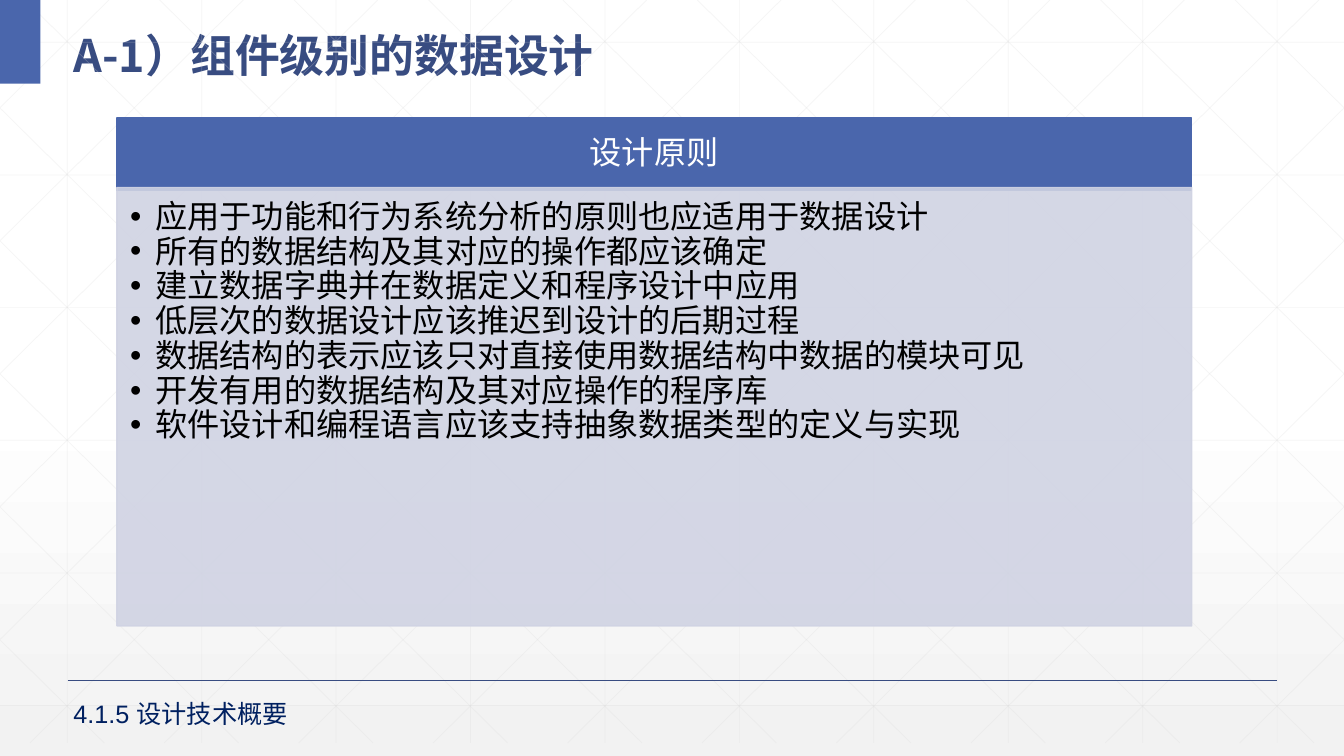
from dataclasses import dataclass

from lxml import etree
from pptx import Presentation
from pptx.dml.color import RGBColor
from pptx.enum.shapes import MSO_CONNECTOR, MSO_SHAPE
from pptx.enum.text import MSO_ANCHOR, MSO_AUTO_SIZE, PP_ALIGN
from pptx.oxml.ns import qn
from pptx.util import Inches, Pt

STRAIGHT = MSO_CONNECTOR.STRAIGHT
RECTANGLE = MSO_SHAPE.RECTANGLE
TOP, MIDDLE = MSO_ANCHOR.TOP, MSO_ANCHOR.MIDDLE
LEFT, CENTER = PP_ALIGN.LEFT, PP_ALIGN.CENTER
NO_AUTOFIT = MSO_AUTO_SIZE.NONE

WHITE = RGBColor(0xFF, 0xFF, 0xFF)
BLACK = RGBColor(0, 0, 0)
PALE_GRAY = RGBColor(0xF2, 0xF2, 0xF2)
GRID_GRAY = RGBColor(0xD9, 0xD9, 0xD9)
BLUE = RGBColor(0x4A, 0x66, 0xAC)
DARK_BLUE = RGBColor(0x38, 0x4C, 0x81)
NAVY = RGBColor(0x00, 0x20, 0x60)
LAVENDER = RGBColor(0xD0, 0xD3, 0xE3)

CJK_FONT = "Noto Sans CJK SC"
PAGE_WIDTH, PAGE_HEIGHT = 13.33, 7.5
GRID_BOTTOM = 7.37
GRID_STEP = 4 / 3
DIAGONAL_RUN = 7.45

PRINCIPLES = [
    "应用于功能和行为系统分析的原则也应适用于数据设计",
    "所有的数据结构及其对应的操作都应该确定",
    "建立数据字典并在数据定义和程序设计中应用",
    "低层次的数据设计应该推迟到设计的后期过程",
    "数据结构的表示应该只对直接使用数据结构中数据的模块可见",
    "开发有用的数据结构及其对应操作的程序库",
    "软件设计和编程语言应该支持抽象数据类型的定义与实现",
]


@dataclass(frozen=True)
class Box:
    left: float
    top: float
    width: float
    height: float

    def lengths(self) -> list:
        return [Inches(v) for v in (self.left, self.top, self.width, self.height)]


@dataclass(frozen=True)
class TextStyle:
    size: float
    color: RGBColor
    font: str = "Arial"
    bold: bool = False


@dataclass(frozen=True)
class Line:
    start_x: float
    start_y: float
    end_x: float
    end_y: float


TITLE_BOX = Box(0.63, 0.1, 12.42, 0.73)
HEADER_BOX = Box(1.16, 1.17, 10.66, 0.72)
LIST_BOX = Box(1.16, 1.86, 10.66, 4.35)
FOOTER_BOX = Box(0.63, 6.88, 3.53, 0.4)
ACCENT_BOX = Box(0, 0, 0.4, 0.83)
FOOTER_RULE = Line(0.67, 6.75, 12.67, 6.75)


def set_opacity(fill, percent: int) -> None:
    color = fill._xPr.find(qn("a:solidFill"))[0]
    etree.SubElement(color, qn("a:alpha")).set("val", str(percent * 1000))


def add_line(page, line: Line, color: RGBColor, width: float, opacity: int = 100) -> None:
    connector = page.shapes.add_connector(
        STRAIGHT, Inches(line.start_x), Inches(line.start_y),
        Inches(line.end_x), Inches(line.end_y))
    connector.line.color.rgb = color
    connector.line.width = Pt(width)
    set_opacity(connector.line.fill, opacity)
    etree.SubElement(connector._element.spPr, qn("a:effectLst"))


def add_rectangle(page, box: Box, color: RGBColor):
    shape = page.shapes.add_shape(RECTANGLE, *box.lengths())
    shape.shadow.inherit = False
    shape.fill.solid()
    shape.fill.fore_color.rgb = color
    shape.line.fill.background()
    return shape


def place(shape, box: Box) -> None:
    shape.left, shape.top, shape.width, shape.height = box.lengths()


def format_frame(frame, anchor, margins=(0.1, 0.05, 0.1, 0.05)) -> None:
    """Set anchor and margins, given as left, top, right, bottom."""
    frame.word_wrap = True
    frame.auto_size = NO_AUTOFIT
    frame.vertical_anchor = anchor
    (frame.margin_left, frame.margin_top,
     frame.margin_right, frame.margin_bottom) = [Inches(m) for m in margins]


def add_span(para, text: str, style: TextStyle) -> None:
    span = para.add_run()
    span.text = text
    span.font.size = Pt(style.size)
    span.font.bold = style.bold
    span.font.name = style.font
    span.font.color.rgb = style.color
    east_asian = etree.SubElement(span.font._element, qn("a:ea"))
    east_asian.set("typeface", CJK_FONT)


def add_bullet(para) -> None:
    properties = para._p.get_or_add_pPr()
    properties.set("marL", str(Inches(0.25)))
    properties.set("indent", str(Inches(-0.25)))
    etree.SubElement(properties, qn("a:buFont")).set("typeface", "Arial")
    etree.SubElement(properties, qn("a:buChar")).set("char", "•")


def falling_diagonal(start_x: float) -> Line:
    """Clip a falling grid diagonal to the page."""
    slope = GRID_BOTTOM / DIAGONAL_RUN
    left = max(start_x, 0)
    right = min(start_x + DIAGONAL_RUN, PAGE_WIDTH)
    return Line(left, (left - start_x) * slope, right, (right - start_x) * slope)


def grid_lines() -> list[Line]:
    columns = [GRID_STEP * (i + 0.5) for i in range(10)]
    rows = [0.42 + 1.316 * i for i in range(6)]
    falling = [falling_diagonal(0.25 + GRID_STEP * i) for i in range(-5, 10)]
    rising = [Line(PAGE_WIDTH - d.start_x, d.start_y, PAGE_WIDTH - d.end_x, d.end_y)
              for d in falling]
    return ([Line(x, 0, x, GRID_BOTTOM) for x in columns]
            + [Line(0, y, PAGE_WIDTH, y) for y in rows] + falling + rising)


def draw_backdrop(page) -> None:
    fill = page.background.fill
    fill.gradient()
    fill.gradient_angle = 270
    for stop, position, color in zip(fill.gradient_stops, (0.53, 1), (WHITE, PALE_GRAY)):
        stop.position = position
        stop.color.rgb = color
    for line in grid_lines():
        add_line(page, line, GRID_GRAY, 0.5, 25)
    add_line(page, FOOTER_RULE, DARK_BLUE, 1)
    add_rectangle(page, ACCENT_BOX, BLUE)


def draw_title(page) -> None:
    title = page.shapes.title
    place(title, TITLE_BOX)
    format_frame(title.text_frame, MIDDLE)
    para = title.text_frame.paragraphs[0]
    para.alignment = LEFT
    para.line_spacing = 1.3
    add_span(para, "A-1）组件级别的数据设计", TextStyle(32, DARK_BLUE, CJK_FONT, True))


def draw_header(page) -> None:
    header = add_rectangle(page, HEADER_BOX, BLUE)
    header.line.color.rgb = BLUE
    header.line.width = Pt(1)
    format_frame(header.text_frame, MIDDLE, (0.18, 0.1, 0.18, 0.1))
    para = header.text_frame.paragraphs[0]
    para.alignment = CENTER
    para.line_spacing = 0.9
    add_span(para, "设计原则", TextStyle(23, WHITE))


def draw_principles(page) -> None:
    body = page.placeholders[1]
    place(body, LIST_BOX)
    body.fill.solid()
    body.fill.fore_color.rgb = LAVENDER
    set_opacity(body.fill, 90)
    body.line.color.rgb = LAVENDER
    body.line.width = Pt(1)
    set_opacity(body.line.fill, 90)
    frame = body.text_frame
    format_frame(frame, TOP, (0.13, 0.13, 0.18, 0.2))
    for index, principle in enumerate(PRINCIPLES):
        para = frame.add_paragraph() if index else frame.paragraphs[0]
        add_bullet(para)
        para.line_spacing = 0.9
        para.space_before = para.space_after = Pt(0)
        add_span(para, principle, TextStyle(23, BLACK))
    page.shapes._spTree.append(body._element)


def draw_footer(page) -> None:
    footer = page.shapes.add_textbox(*FOOTER_BOX.lengths())
    format_frame(footer.text_frame, TOP)
    add_span(footer.text_frame.paragraphs[0], "4.1.5 设计技术概要", TextStyle(18, NAVY))


def main() -> None:
    deck = Presentation()
    deck.slide_width, deck.slide_height = Inches(PAGE_WIDTH), Inches(PAGE_HEIGHT)
    page = deck.slides.add_slide(deck.slide_layouts[1])
    draw_backdrop(page)
    draw_title(page)
    draw_header(page)
    draw_principles(page)
    draw_footer(page)
    deck.save("out.pptx")


if __name__ == "__main__":
    main()
